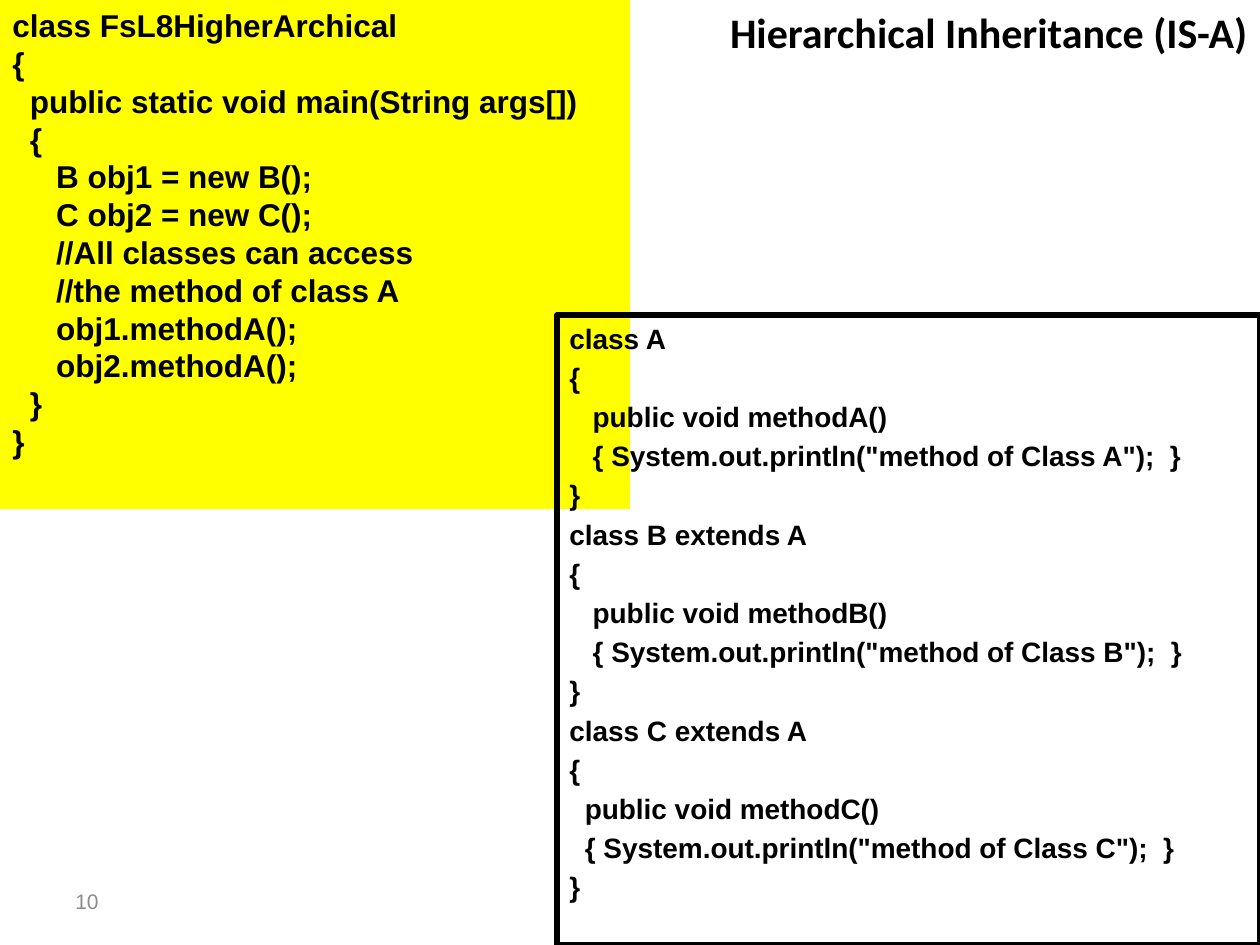
from dataclasses import dataclass
from typing import Optional

from pptx import Presentation
from pptx import util as u
from pptx.dml.color import RGBColor
from pptx.enum import shapes, text

SPACE_WIDTH = 0.278  # width of an Arial space, in ems


@dataclass
class Panel:
    """A rectangle that holds a code listing; each line is (indent in spaces, code)."""
    box: tuple[float, float, float, float]
    lines: list[tuple[int, str]]
    size: float
    fill: Optional[str] = None
    border: Optional[str] = None
    gap: float = 0


def colour(value: str) -> RGBColor:
    """Turn a hex string into a colour."""
    return RGBColor.from_string(value)


def write(frame, lines: list[tuple[int, str]], *, size: float, font: str = "Arial",
          ink: str = "000000", bold: bool = True, align=text.PP_ALIGN.LEFT,
          anchor=text.MSO_ANCHOR.TOP, gap: float = 0) -> None:
    """Fill a text frame with indented lines in one format."""
    frame.word_wrap = True
    frame.vertical_anchor = anchor
    for number, (indent, content) in enumerate(lines):
        line = frame.add_paragraph() if number else frame.paragraphs[0]
        line.alignment = align
        line.space_before = u.Pt(gap)
        if indent:
            margin = u.Pt(indent * SPACE_WIDTH * size)
            line._p.get_or_add_pPr().set("marL", str(int(margin)))
        run = line.add_run()
        run.text = content
        run.font.size = u.Pt(size)
        run.font.name = font
        run.font.bold = bold
        run.font.color.rgb = colour(ink)


def add_label(slide, box: tuple[float, float, float, float], content: str, **style) -> None:
    """Add one line of vertically centred text."""
    label = slide.shapes.add_textbox(*map(u.Inches, box))
    write(label.text_frame, [(0, content)], anchor=text.MSO_ANCHOR.MIDDLE, **style)


def add_panel(slide, panel: Panel) -> None:
    """Add a code panel with its fill and border."""
    shape = slide.shapes.add_shape(shapes.MSO_SHAPE.RECTANGLE, *map(u.Inches, panel.box))
    shape.shadow.inherit = False
    if panel.fill:
        shape.fill.solid()
        shape.fill.fore_color.rgb = colour(panel.fill)
    else:
        shape.fill.background()
    if panel.border:
        shape.line.color.rgb = colour(panel.border)
        shape.line.width = u.Pt(3)
    else:
        shape.line.fill.background()
    write(shape.text_frame, panel.lines, size=panel.size, gap=panel.gap)


def class_lines(name: str, heading: str, indent: int) -> list[tuple[int, str]]:
    """List the code of a class with a single printing method."""
    return [
        (0, heading),
        (0, "{"),
        (indent, f"public void method{name}()"),
        (indent, f'{{ System.out.println("method of Class {name}");  }}'),
        (0, "}"),
    ]


main_program = Panel(
    box=(0, 0, 5, 4.04), size=18, fill="FFFF00",
    lines=[
        (0, "class FsL8HigherArchical"),
        (0, "{"),
        (2, "public static void main(String args[])"),
        (2, "{"),
        (5, "B obj1 = new B();"),
        (5, "C obj2 = new C();"),
        (5, "//All classes can access"),
        (5, "//the method of class A"),
        (5, "obj1.methodA();"),
        (5, "obj2.methodA();"),
        (2, "}"),
        (0, "}"),
    ],
)
class_hierarchy = Panel(
    box=(4.42, 2.5, 5.58, 5), size=16, border="000000", gap=3.2,
    lines=class_lines("A", "class A", 3)
    + class_lines("B", "class B extends A", 3)
    + class_lines("C", "class C extends A", 2),
)

deck = Presentation()
deck.slide_width, deck.slide_height = u.Inches(10), u.Inches(7.5)
slide = deck.slides.add_slide(deck.slide_layouts[6])

add_label(slide, (0.5, 6.95, 2.33, 0.4), "10", size=12, ink="8C8C8C", bold=False)
add_label(slide, (5.42, 0, 4.58, 0.5), "Hierarchical Inheritance (IS-A)",
          size=24, font="Calibri", align=text.PP_ALIGN.RIGHT)
for panel in (main_program, class_hierarchy):
    add_panel(slide, panel)

deck.save("out.pptx")
